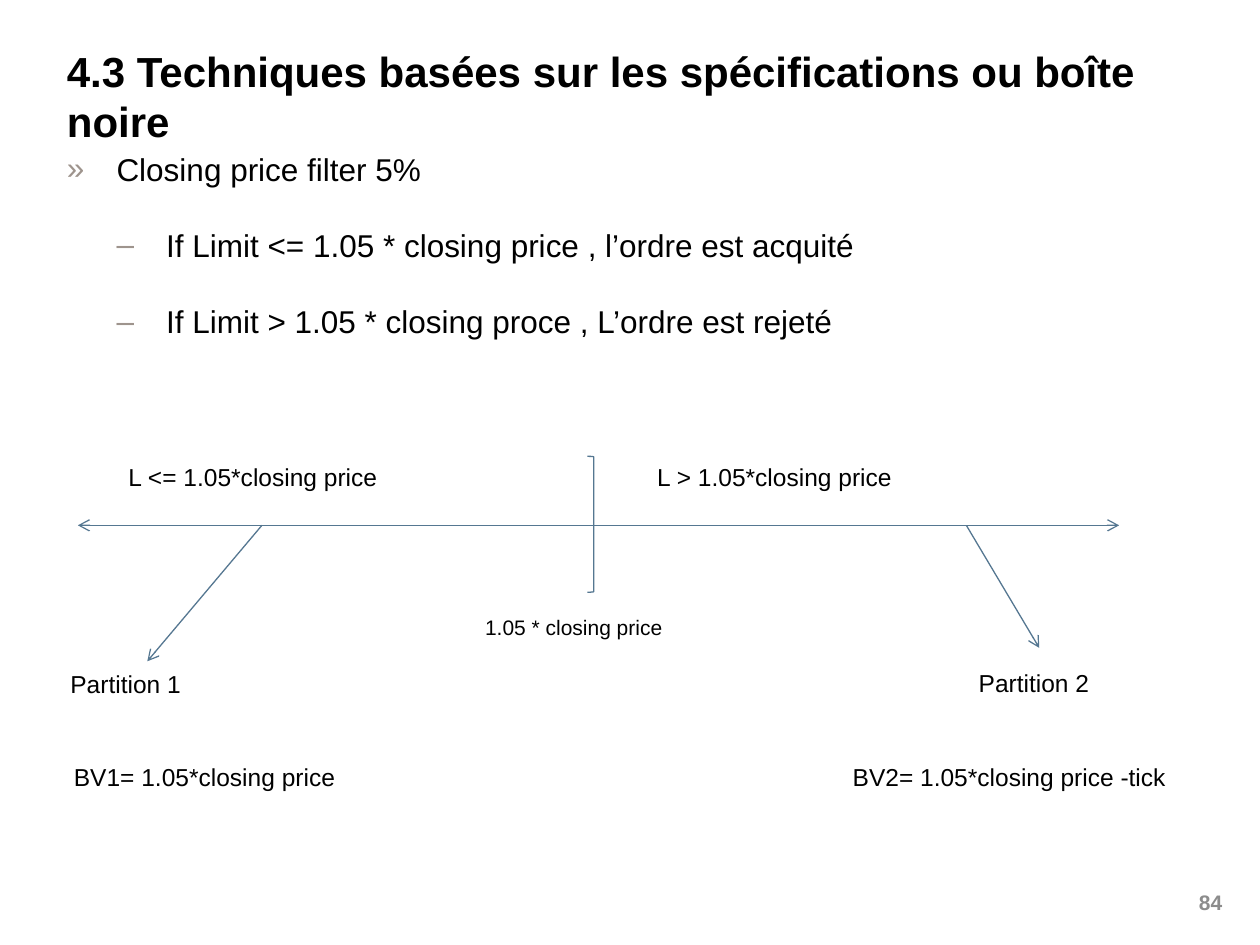
from lxml import etree
from pptx import Presentation, util as u
from pptx.dml.color import RGBColor
from pptx.enum import shapes, text
from pptx.oxml.ns import qn

# Content; lengths in cm
FONT, BLACK, GREY, BLUE, BULLET = "Arial", "000000", "8C8C8C", "557791", "9E948D"
TITLE = "4.3 Techniques basées sur les spécifications ou boîte noire"
RULES = [  # level, bullet, text
    (0, "»", "Closing price filter 5%"),
    (1, "–", "If Limit <= 1.05 * closing price , l’ordre est acquité"),
    (1, "–", "If Limit > 1.05 * closing proce , L’ordre est rejeté"),
]
INDENT = 1
AXIS_Y = 10.59
ARROWS = [  # start, end, arrowheads
    ((1.57, AXIS_Y), (22.56, AXIS_Y), ("headEnd", "tailEnd")),
    ((5.28, AXIS_Y), (2.97, 13.33), ("tailEnd",)),
    ((19.48, AXIS_Y), (20.95, 13.06), ("tailEnd",)),
]
LABELS = [  # left, top, width, size, text
    (9.53, 12.27, 5.08, 12, "1.05 * closing price"),
    (1.17, 13.36, 2.97, 14, "Partition 1"),
    (19.48, 13.34, 2.97, 14, "Partition 2"),
    (2.34, 9.19, 6.45, 14, "L <= 1.05*closing price"),
    (13, 9.19, 6.45, 14, "L > 1.05*closing price"),
    (1.24, 15.24, 5.94, 14, "BV1= 1.05*closing price"),
    (16.94, 15.24, 6.99, 14, "BV2= 1.05*closing price -tick"),
]


def rgb(color):
    return RGBColor.from_string(color)


def add_box(s, left, top, width, height, inset=True):
    tf = s.shapes.add_textbox(*map(u.Cm, (left, top, width, height))).text_frame
    tf.word_wrap = True
    if not inset:
        tf.margin_left = tf.margin_top = tf.margin_right = tf.margin_bottom = 0
    return tf


def add_run(p, words, size, color=BLACK, bold=False):
    r = p.add_run()
    r.text = words
    r.font.name, r.font.size, r.font.bold = FONT, u.Pt(size), bold
    r.font.color.rgb = rgb(color)


def set_bullet(p, level, char):
    pPr = p._p.get_or_add_pPr()
    pPr.set("marL", str(u.Cm(INDENT * (level + 1))))
    pPr.set("indent", str(-u.Cm(INDENT)))
    clr = etree.SubElement(pPr, qn("a:buClr"))
    etree.SubElement(clr, qn("a:srgbClr"), val=BULLET)
    etree.SubElement(pPr, qn("a:buFont"), typeface=FONT)
    etree.SubElement(pPr, qn("a:buChar"), char=char)


def set_line(sp):
    sp.line.color.rgb = rgb(BLUE)
    sp.line.width = u.Pt(0.75)


def add_arrow(s, start, end, heads):
    sp = s.shapes.add_connector(shapes.MSO_CONNECTOR.STRAIGHT, *map(u.Cm, start + end))
    set_line(sp)
    ln = sp.line._get_or_add_ln()
    for head in heads:
        etree.SubElement(ln, qn("a:" + head), type="arrow")
    etree.SubElement(sp._element.spPr, qn("a:effectLst"))


prs = Presentation()
prs.slide_width, prs.slide_height = u.Cm(25.4), u.Cm(19.05)
s = prs.slides.add_slide(prs.slide_layouts[6])

# Title
tf = add_box(s, 1.35, 0.94, 23.29, 2, inset=False)
tf.vertical_anchor = text.MSO_ANCHOR.BOTTOM
add_run(tf.paragraphs[0], TITLE, 24, bold=True)

# Filter rules
tf = add_box(s, 1.35, 3.02, 23.29, 14.76, inset=False)
for i, (level, char, words) in enumerate(RULES):
    p = tf.add_paragraph() if i else tf.paragraphs[0]
    p.level = level
    if i:
        p.space_before = u.Pt(22)
    set_bullet(p, level, char)
    add_run(p, words, 18)

# Axis, partition arrows and boundary
for arrow in ARROWS:
    add_arrow(s, *arrow)
sp = s.shapes.add_shape(shapes.MSO_SHAPE.RIGHT_BRACKET,
                        *map(u.Cm, (11.84, 9.2, 0.13, 2.74)))
sp.shadow.inherit = False
sp.fill.background()
set_line(sp)

# Labels
for left, top, width, size, words in LABELS:
    tf = add_box(s, left, top, width, 0.86)
    add_run(tf.paragraphs[0], words, size)

# Page number
p = add_box(s, 23.65, 17.93, 0.99, 0.51, inset=False).paragraphs[0]
p.alignment = text.PP_ALIGN.RIGHT
add_run(p, "84", 12, GREY, bold=True)

prs.save("out.pptx")
